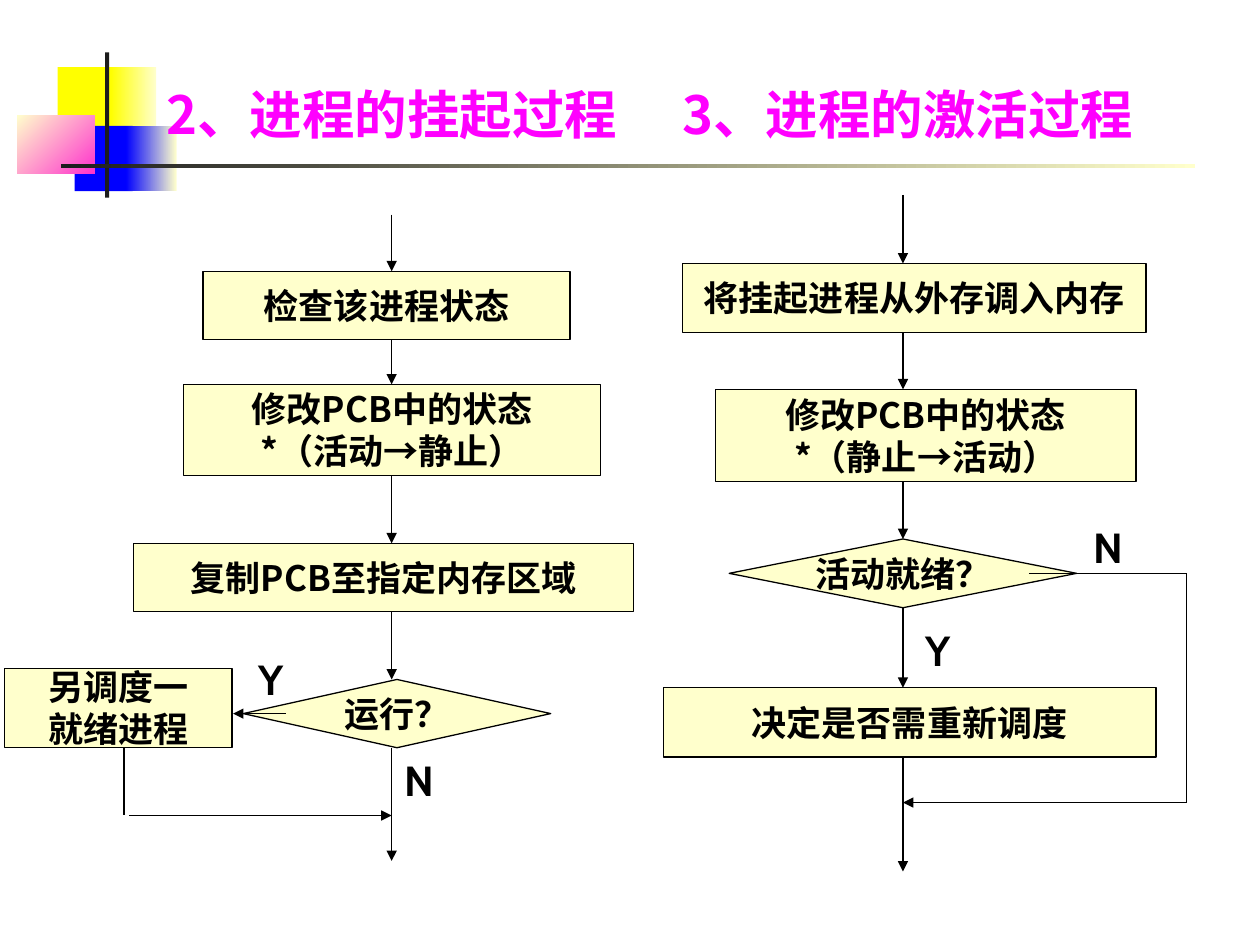
from pptx import Presentation
from pptx.dml.color import RGBColor
from pptx.enum.shapes import MSO_CONNECTOR, MSO_SHAPE as Preset
from pptx.enum.text import MSO_ANCHOR, MSO_AUTO_SIZE, PP_ALIGN as Align
from pptx.oxml.ns import qn
from pptx.util import Pt
from lxml.etree import SubElement

CJK = "Noto Sans CJK SC"
ARROW_FONT = "Times New Roman"
BLACK, CREAM = "000000", "FFFFCC"


def paint(fill, *colours, angle=0):
    if len(colours) == 1:
        fill.solid()
        fill.fore_color.rgb = RGBColor.from_string(colours[0])
        return
    fill.gradient()
    fill.gradient_angle = angle
    for stop, colour in zip(fill.gradient_stops, colours):
        stop.color.rgb = RGBColor.from_string(colour)


def write(frame, text, size=20, font=CJK, colour=BLACK, align=Align.CENTER, wrap=False):
    frame.word_wrap = wrap
    for index, line in enumerate(text.split("\n")):
        paragraph = frame.paragraphs[0] if index == 0 else frame.add_paragraph()
        paragraph.alignment = align
        for piece in line.replace("→", "|→|").replace("\v", "|\v|").split("|"):
            if piece == "\v":
                paragraph.add_line_break()
                continue
            run = paragraph.add_run()
            run.text = piece
            run.font.name = ARROW_FONT if piece == "→" else font
            run.font.size = Pt(size)
            run.font.bold = True
            paint(run.font.fill, colour)
            SubElement(run.font._element, qn("a:ea")).set("typeface", CJK)


deck = Presentation()
deck.slide_width, deck.slide_height = Pt(720), Pt(540)
slide = deck.slides.add_slide(deck.slide_layouts[6])
shapes = slide.shapes
paint(slide.background.fill, "FFFFFF")

ornaments = [
    (33, 38.3, 34.6, 37.5, ["FFFF00"], 0),
    (63.3, 38.3, 26, 37.5, ["FFFF00", CREAM], 0),
    (42.6, 72, 33.2, 37.3, ["0000FF"], 0),
    (72, 72, 28.8, 37.3, ["0000FF", CREAM], 0),
    (9.8, 66, 44.2, 33.3, [CREAM, "FF33CC"], 315),
    (60, 30, 2.4, 83, ["1C1C1C"], 0),
    (34.8, 93.7, 648, 2.5, ["1C1C1C", CREAM], 0),
]
for left, top, width, height, colours, angle in ornaments:
    ornament = shapes.add_shape(Preset.RECTANGLE, Pt(left), Pt(top), Pt(width), Pt(height))
    ornament.shadow.inherit = False
    paint(ornament.fill, *colours, angle=angle)
    ornament.line.fill.background()

heading = dict(size=30, colour="FF00FF", wrap=True)
branch = dict(size=24, font="Cabin", align=Align.LEFT)
labels = [
    ("2、进程的挂起过程", 76.3, 43.2, 295.2, 43.5, heading),
    ("3、进程的激活过程", 365.8, 43.2, 306, 43.5, heading),
    ("N", 617.8, 294.5, 54, 36, branch),
    ("Y", 522, 353.5, 66, 36, branch),
    ("Y", 140.4, 370.1, 28, 36, branch),
    ("N", 223.9, 427.7, 32.4, 36, branch),
]
for text, left, top, width, height, style in labels:
    label = shapes.add_textbox(Pt(left), Pt(top), Pt(width), Pt(height))
    label.text_frame.auto_size = MSO_AUTO_SIZE.SHAPE_TO_FIT_TEXT
    write(label.text_frame, text, **style)

process, decision = Preset.FLOWCHART_PROCESS, Preset.FLOWCHART_DECISION
steps = [
    (process, "检查该进程状态", 116.1, 155, 209.7, 39),
    (process, "修改PCB中的状态\n*（活动→静止）", 104.9, 219.7, 238.2, 52),
    (process, "复制PCB至指定内存区域", 76.5, 310.5, 285.4, 39),
    (decision, "运行？", 139, 388.3, 175.7, 39),
    (process, "另调度一\v就绪进程", 2.6, 381.9, 129.9, 45.3),
    (process, "将挂起进程从外存调入内存", 390.1, 150.6, 264.7, 39.3),
    (process, "修改PCB中的状态\n*（静止→活动）", 408.8, 222.5, 240.3, 52.6),
    (decision, "活动就绪？", 416.7, 308, 198.6, 39.3),
    (process, "决定是否需重新调度", 379, 393, 281.6, 39.6),
]
for preset, text, left, top, width, height in steps:
    step = shapes.add_shape(preset, Pt(left), Pt(top), Pt(width), Pt(height))
    step.shadow.inherit = False
    paint(step.fill, CREAM)
    paint(step.line.fill, BLACK)
    step.line.width = Pt(0.75)
    step.text_frame.vertical_anchor = MSO_ANCHOR.MIDDLE
    write(step.text_frame, text)

suspend_x, activate_x, bypass_x = 223.8, 516, 678
suspend_flow = [(122.6, 155), (194, 219.7), (271.7, 310.5), (349.5, 388.3), (427.3, 492)]
activate_flow = [(111.3, 150.6), (189.9, 222.5), (275.1, 308), (347.3, 393), (432.6, 498)]
links = [(suspend_x, start, suspend_x, end, True) for start, end in suspend_flow]
links += [(activate_x, start, activate_x, end, True) for start, end in activate_flow]
links += [
    (163.4, 407.8, 133.2, 407.8, True),
    (70.8, 427.2, 70.8, 466, False),
    (74, 466, suspend_x, 466, True),
    (588, 327.6, bypass_x, 327.6, False),
    (bypass_x, 327.6, bypass_x, 458.6, False),
    (bypass_x, 458.6, activate_x, 458.6, True),
]
for x1, y1, x2, y2, pointed in links:
    link = shapes.add_connector(MSO_CONNECTOR.STRAIGHT, Pt(x1), Pt(y1), Pt(x2), Pt(y2))
    paint(link.line.fill, BLACK)
    link.line.width = Pt(0.75)
    if pointed:
        SubElement(link.line._get_or_add_ln(), qn("a:tailEnd")).set("type", "triangle")
    SubElement(link._element.spPr, qn("a:effectLst"))

deck.save("out.pptx")
